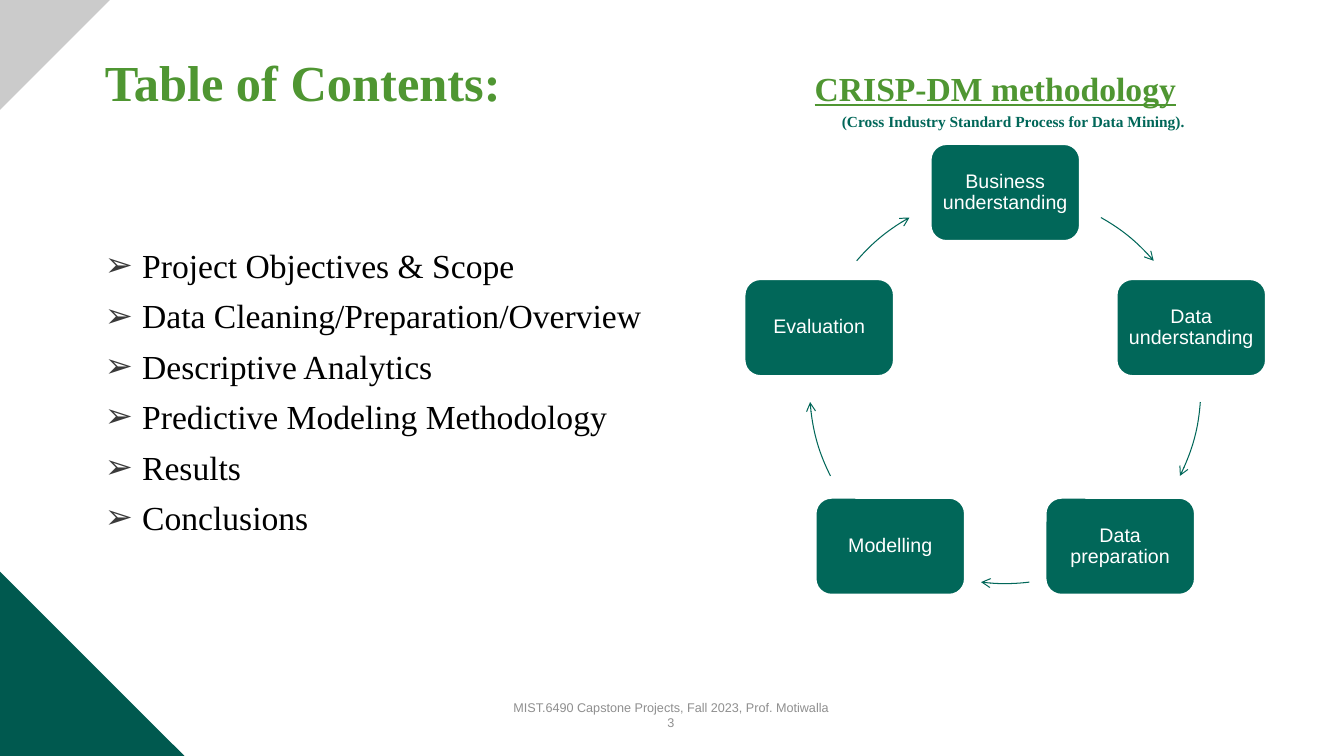
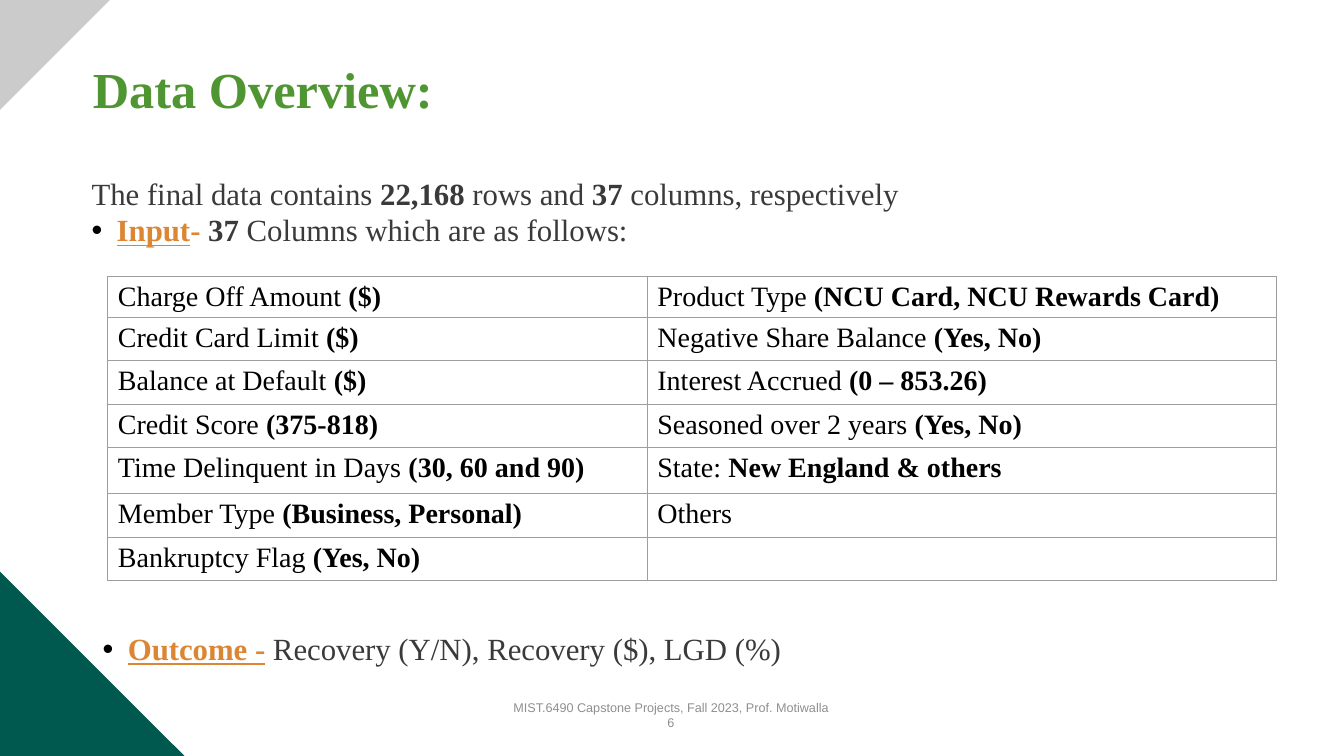
from lxml.etree import SubElement
from pptx import Presentation
from pptx.dml.color import RGBColor
from pptx.enum.shapes import MSO_SHAPE
from pptx.enum.text import MSO_ANCHOR, MSO_AUTO_SIZE, PP_ALIGN
from pptx.oxml.ns import qn
from pptx.util import Inches, Pt
from math import cos, radians, sin

# Shared look
GREEN = RGBColor(0x4F, 0x96, 0x32)
TEAL = RGBColor(0x01, 0x67, 0x59)
DARK_TEAL = RGBColor(0x00, 0x59, 0x4F)
LIGHT_GREY = RGBColor(0xCB, 0xCB, 0xCB)
FOOTER_GREY = RGBColor(0x8F, 0x8F, 0x8F)
BORDER_GREY = RGBColor(0x9E, 0x9E, 0x9E)
TEXT_GREY = RGBColor(0x3A, 0x3A, 0x3A)
ORANGE = RGBColor(0xDC, 0x86, 0x33)
BLACK = RGBColor(0, 0, 0)
WHITE = RGBColor(0xFF, 0xFF, 0xFF)
SERIF, SANS = "Times New Roman", "Arial"

# Run styles: bold, underline, colour
PLAIN = (False, False, TEXT_GREY)
BOLD = (True, False, TEXT_GREY)
ACCENT = (True, False, ORANGE)
ACCENT_LINE = (True, True, ORANGE)

# Content
FOOTER = "MIST.6490 Capstone Projects, Fall 2023, Prof. Motiwalla"
AGENDA = [
    "Project Objectives & Scope",
    "Data Cleaning/Preparation/Overview",
    "Descriptive Analytics",
    "Predictive Modeling Methodology",
    "Results",
    "Conclusions",
]
STAGES = ["Business understanding", "Data understanding", "Data preparation",
          "Modelling", "Evaluation"]
ARROW_ANGLES = [(299.3, 319.4), (4.1, 26.7), (82.9, 97.1),
                (153.3, 175.9), (220.6, 240.7)]
DATA_SIZE = [("The final data contains ", PLAIN), ("22,168", BOLD),
             (" rows and ", PLAIN), ("37 ", BOLD),
             ("columns, respectively", PLAIN)]
INPUT = [("Input", ACCENT_LINE), ("- ", ACCENT), ("37", BOLD),
         (" Columns which are as follows:", PLAIN)]
OUTCOME = [("Outcome -", ACCENT_LINE),
           (" Recovery (Y/N), Recovery ($), LGD (%)", PLAIN)]
# Each cell: plain part, bold part
FIELDS = [
    [("Charge Off Amount ", "($)"),
     ("Product Type ", "(NCU Card, NCU Rewards Card)")],
    [("Credit Card Limit ", "($)"), ("Negative Share Balance ", "(Yes, No)")],
    [("Balance at Default ", "($)"), ("Interest Accrued ", "(0 – 853.26)")],
    [("Credit Score ", "(375-818)"), ("Seasoned over 2 years ", "(Yes, No)")],
    [("Time Delinquent in Days ", "(30, 60 and 90)"),
     ("State: ", "New England & others")],
    [("Member Type ", "(Business, Personal)"), ("Others", "")],
    [("Bankruptcy Flag ", "(Yes, No)"), ("", "")],
]
COLUMN_WIDTHS = [5.35, 6.24]
ROW_HEIGHTS = [0.41, 0.43, 0.43, 0.43, 0.46, 0.43, 0.43]


def set_font(font, name, size, color, bold=False, underline=False):
    font.name, font.size, font.bold = name, Pt(size), bold
    font.underline = underline
    font.color.rgb = color


def add_bullet(para, symbol, color, indent):
    """Must come before the paragraph font, which ends the properties."""
    properties = para._p.get_or_add_pPr()
    properties.set("marL", str(Inches(indent)))
    properties.set("indent", str(-Inches(indent)))
    bullet_color = SubElement(properties, qn("a:buClr"))
    SubElement(bullet_color, qn("a:srgbClr")).set("val", str(color))
    SubElement(properties, qn("a:buFont")).set("typeface", SANS)
    SubElement(properties, qn("a:buChar")).set("char", symbol)


def add_runs(para, runs, size):
    for text, (bold, underline, color) in runs:
        span = para.add_run()
        span.text = text
        set_font(span.font, SERIF, size, color, bold, underline)


def add_box(page, left, top, width, height, inset=(0.1, 0.05)):
    frame = page.shapes.add_textbox(Inches(left), Inches(top), Inches(width),
                                    Inches(height)).text_frame
    frame.word_wrap = True
    frame.margin_left = frame.margin_right = Inches(inset[0])
    frame.margin_top = frame.margin_bottom = Inches(inset[1])
    return frame


def next_para(frame, index):
    return frame.add_paragraph() if index else frame.paragraphs[0]


def add_shape(page, kind, left, top, width, height, fill=None):
    shape = page.shapes.add_shape(kind, Inches(left), Inches(top),
                                  Inches(width), Inches(height))
    shape.shadow.inherit = False
    if fill is None:
        shape.fill.background()
    else:
        shape.fill.solid()
        shape.fill.fore_color.rgb = fill
    shape.line.fill.background()
    return shape


def add_corners(page, layout):
    """Corner triangles, kept on the layout that every page uses."""
    for top, size, color, turn in [(5.67, 1.83, DARK_TEAL, 0),
                                   (0, 1.09, LIGHT_GREY, 90)]:
        corner = add_shape(page, MSO_SHAPE.RIGHT_TRIANGLE, 0, top, size, size,
                           color)
        corner.rotation = turn
        layout.shapes.element.append(corner.element)


def add_page(deck, layout, title_text, left, top, number):
    page = deck.slides.add_slide(layout)
    title = page.shapes.title
    title.left, title.top = Inches(left), Inches(top)
    title.width, title.height = Inches(6), Inches(1.02)
    frame = title.text_frame
    frame.text = title_text
    frame.auto_size = MSO_AUTO_SIZE.NONE
    frame.vertical_anchor = MSO_ANCHOR.MIDDLE
    frame.margin_left = frame.margin_right = 0
    para = frame.paragraphs[0]
    para.alignment = PP_ALIGN.LEFT
    para.line_spacing = 0.9
    set_font(para.font, SERIF, 36, GREEN, True)

    footer = add_box(page, 3.73, 6.95, 5.85, 0.28)
    footer.vertical_anchor = MSO_ANCHOR.MIDDLE
    for index, text in enumerate([FOOTER, str(number)]):
        para = next_para(footer, index)
        para.text = text
        para.alignment = PP_ALIGN.CENTER
        set_font(para.font, SANS, 9, FOOTER_GREY)
    return page


def add_agenda(page):
    frame = add_box(page, 1.04, 2.33, 6, 3, (0, 0))
    for index, topic in enumerate(AGENDA):
        para = next_para(frame, index)
        para.text = topic
        para.line_spacing = Pt(36)
        add_bullet(para, "➢", TEXT_GREY, 0.37)
        set_font(para.font, SERIF, 24, BLACK)


def add_cycle(page):
    # Headings
    for text, left, top, size, color, underline in [
            ("CRISP-DM methodology", 8.08, 0.67, 24, GREEN, True),
            ("(Cross Industry Standard Process for Data Mining).",
             8.35, 1.11, 11, TEAL, False)]:
        para = add_box(page, left, top, 4.2, 0.2, (0, 0)).paragraphs[0]
        para.text = text
        set_font(para.font, SERIF, size, color, True, underline)

    # Stages, evenly spread on a circle from the top
    center_x, center_y, radius = 9.97, 3.85, 1.94
    width, height = 1.49, 0.97
    for index, stage in enumerate(STAGES):
        angle = radians(360 / len(STAGES) * index - 90)
        node = add_shape(page, MSO_SHAPE.ROUNDED_RECTANGLE,
                         center_x + radius * cos(angle) - width / 2,
                         center_y + radius * sin(angle) - height / 2,
                         width, height, TEAL)
        node.line.color.rgb = WHITE
        node.line.width = Pt(2)
        frame = node.text_frame
        frame.word_wrap = True
        frame.margin_left = frame.margin_right = Inches(0.03)
        frame.vertical_anchor = MSO_ANCHOR.MIDDLE
        para = frame.paragraphs[0]
        para.text = stage
        para.alignment = PP_ALIGN.CENTER
        para.line_spacing = 0.9
        set_font(para.font, SANS, 14, WHITE)

    # Arrows along the same circle; arc angles are stored in 1/60000 degree
    for angles in ARROW_ANGLES:
        arrow = add_shape(page, MSO_SHAPE.ARC, center_x - radius,
                          center_y - radius, 2 * radius, 2 * radius)
        for index, angle in enumerate(angles):
            arrow.adjustments[index] = angle * 0.6
        arrow.line.color.rgb = TEAL
        arrow.line.width = Pt(0.75)
        outline = arrow.element.spPr.find(qn("a:ln"))
        SubElement(outline, qn("a:tailEnd")).set("type", "arrow")


def add_borders(cell):
    properties = cell._tc.get_or_add_tcPr()
    for position, side in enumerate(["lnL", "lnR", "lnT", "lnB"]):
        line = SubElement(properties, qn("a:" + side))
        line.set("w", str(Pt(0.75)))
        fill = SubElement(line, qn("a:solidFill"))
        SubElement(fill, qn("a:srgbClr")).set("val", str(BORDER_GREY))
        properties.insert(position, line)


def add_fields(page):
    table = page.shapes.add_table(
        len(FIELDS), len(COLUMN_WIDTHS), Inches(1.07), Inches(2.74),
        Inches(sum(COLUMN_WIDTHS)), Inches(sum(ROW_HEIGHTS))).table
    table.first_row = table.horz_banding = False
    for column, width in zip(table.columns, COLUMN_WIDTHS):
        column.width = Inches(width)
    for row, height, fields in zip(table.rows, ROW_HEIGHTS, FIELDS):
        row.height = Inches(height)
        for cell, (plain, bold) in zip(row.cells, fields):
            cell.fill.background()
            cell.margin_bottom = Inches(0.02)
            add_borders(cell)
            para = cell.text_frame.paragraphs[0]
            set_font(para.font, SERIF, 20, BLACK)
            runs = [(plain, (False, False, BLACK)), (bold, (True, False, BLACK))]
            add_runs(para, [run for run in runs if run[0]], 20)


def add_statements(page):
    frame = add_box(page, 0.81, 1.68, 11.43, 0.84)
    add_runs(frame.paragraphs[0], DATA_SIZE, 22)
    outcome = add_box(page, 0.92, 6.2, 8.46, 0.47).paragraphs[0]
    for para, runs in [(frame.add_paragraph(), INPUT), (outcome, OUTCOME)]:
        add_bullet(para, "•", BLACK, 0.25)
        add_runs(para, runs, 22)


def main():
    deck = Presentation()
    deck.slide_width, deck.slide_height = Inches(13.33), Inches(7.5)
    layout = deck.slide_layouts[5]

    contents = add_page(deck, layout, "Table of Contents:", 1.04, 0.34, 3)
    add_corners(contents, layout)
    add_agenda(contents)
    add_cycle(contents)

    overview = add_page(deck, layout, "Data Overview:", 0.92, 0.4, 6)
    add_fields(overview)
    add_statements(overview)

    deck.save("out.pptx")


if __name__ == "__main__":
    main()
